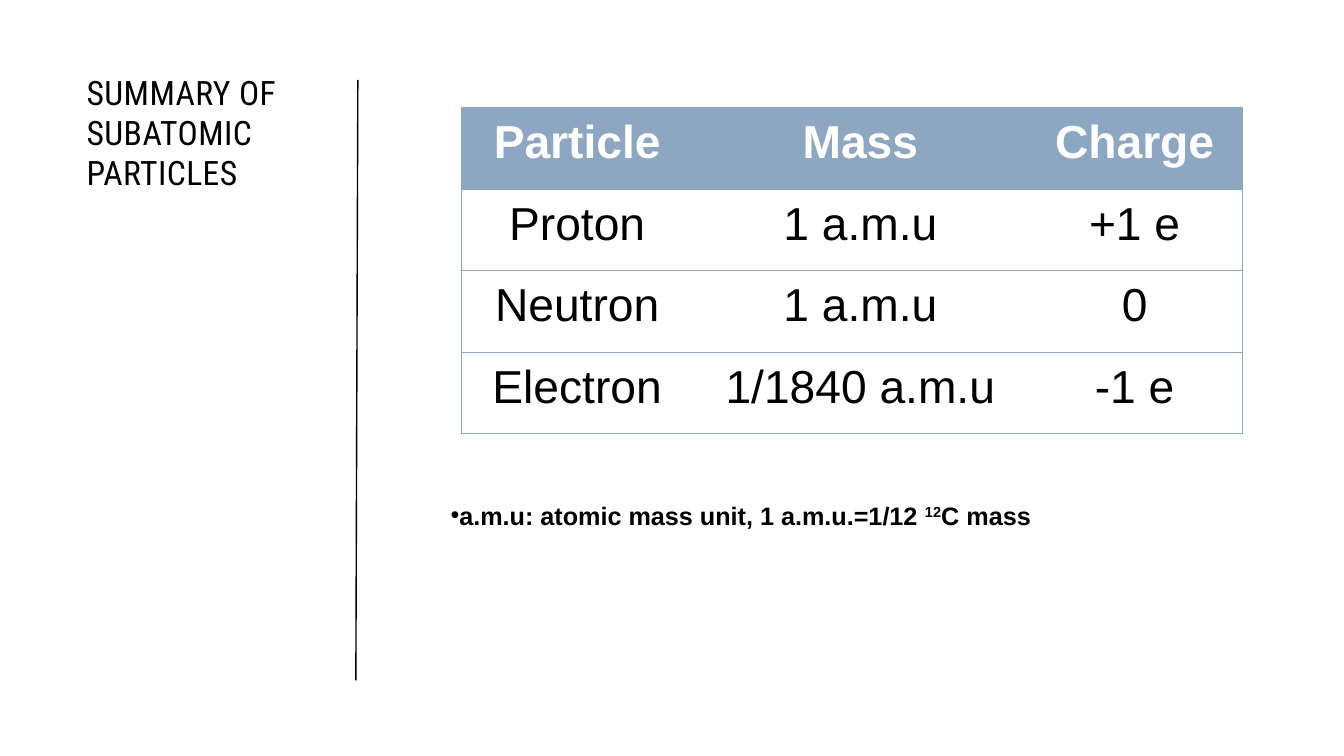
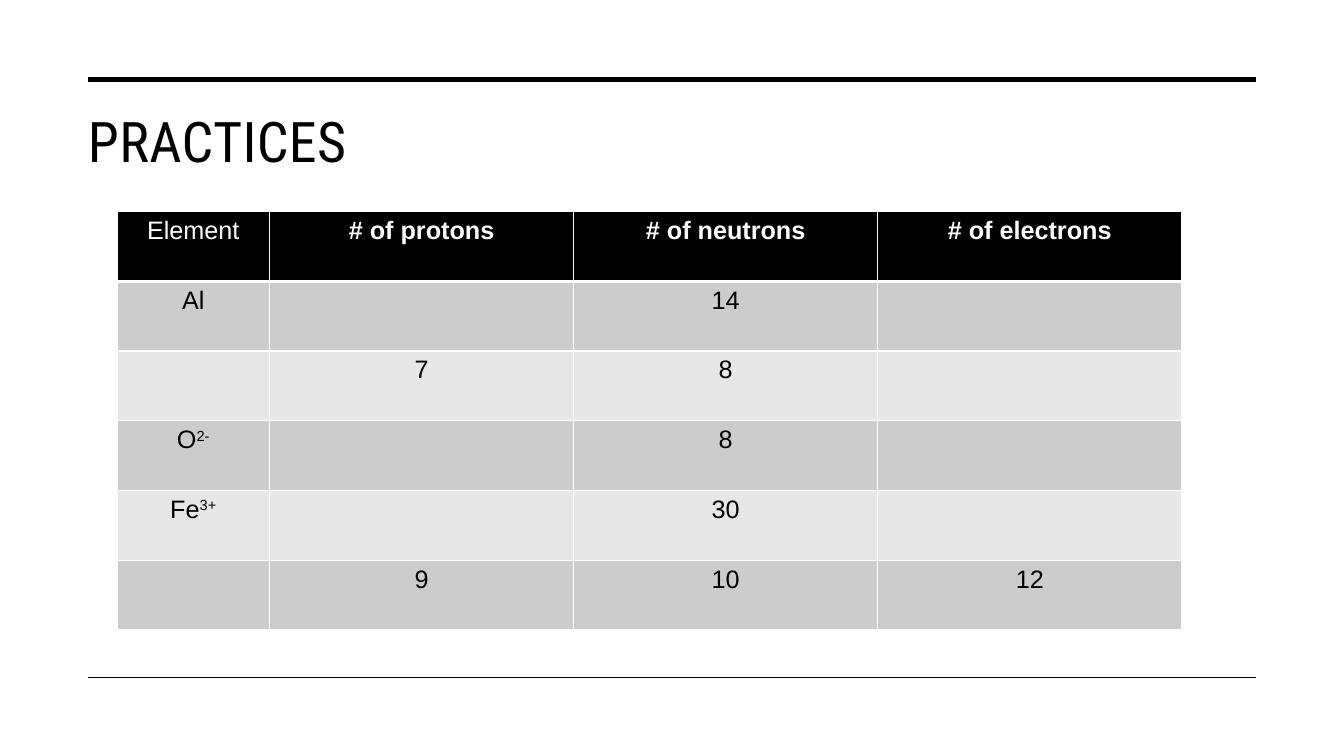
from dataclasses import dataclass

from lxml import etree
from pptx import Presentation
from pptx.dml.color import RGBColor
from pptx.enum.shapes import MSO_CONNECTOR
from pptx.enum.text import MSO_ANCHOR, MSO_AUTO_SIZE, PP_ALIGN
from pptx.oxml.ns import qn
from pptx.util import Pt

STRAIGHT = MSO_CONNECTOR.STRAIGHT
TOP = MSO_ANCHOR.TOP
NO_AUTOFIT = MSO_AUTO_SIZE.NONE
LEFT, CENTER = PP_ALIGN.LEFT, PP_ALIGN.CENTER
TITLE_AND_CONTENT, TITLE_ONLY = 1, 5
PLAIN_TABLE_STYLE = "{2D5ABB26-0587-4C30-8999-92F81FD0307C}"


@dataclass(frozen=True)
class Theme:
    title_font: str = "Roboto Condensed"
    body_font: str = "Arial"
    black: str = "000000"
    white: str = "FFFFFF"
    blue: str = "8DA6C2"
    dark_band: str = "CCCCCC"
    light_band: str = "E7E7E7"
    side_title: int = 24
    wide_title: int = 40
    large_cell: int = 33
    body: int = 18


THEME = Theme()

SUMMARY = {
    "title": "SUMMARY OF SUBATOMIC PARTICLES",
    "note": "a.m.u: atomic mass unit, 1 a.m.u.=1/12 ^12^C mass",
    "rows": [
        ("Particle", "Mass", "Charge"),
        ("Proton", "1 a.m.u", "+1 e"),
        ("Neutron", "1 a.m.u", "0"),
        ("Electron", "1/1840 a.m.u", "-1 e"),
    ],
}
PRACTICES = {
    "title": "PRACTICES",
    "rows": [
        ("Element", "# of protons", "# of neutrons", "# of electrons"),
        ("Al", "", "14", ""),
        ("", "7", "8", ""),
        ("O^2-", "", "8", ""),
        ("Fe^3+", "", "30", ""),
        ("", "9", "10", "12"),
    ],
}


def add_runs(paragraph, text, font_name, size, color, bold=False, spacing=None):
    for index, part in enumerate(text.split("^")):
        run = paragraph.add_run()
        run.text = part
        run.font.name = font_name
        run.font.size = Pt(size)
        run.font.bold = bold
        run.font.color.rgb = RGBColor.from_string(color)
        properties = run._r.get_or_add_rPr()
        if index % 2:
            properties.set("baseline", "30000")
        if spacing:
            properties.set("spc", str(spacing))


def place_text(shape, box):
    shape.left, shape.top, shape.width, shape.height = map(Pt, box)
    frame = shape.text_frame
    frame.word_wrap = True
    frame.auto_size = NO_AUTOFIT
    frame.vertical_anchor = TOP
    return frame.paragraphs[0]


def set_title(slide, text, box, size):
    paragraph = place_text(slide.shapes.title, box)
    paragraph.alignment = LEFT
    add_runs(paragraph, text, THEME.title_font, size, THEME.black, spacing=30)


def set_note(slide, text, box):
    paragraph = place_text(slide.placeholders[1], box)
    properties = paragraph._p.get_or_add_pPr()
    properties.set("marL", "0")
    properties.set("indent", str(-Pt(18)))
    etree.SubElement(properties, qn("a:buChar"), char="•")
    paragraph.line_spacing = 1.2
    paragraph.space_before = Pt(0)
    paragraph.space_after = Pt(6)
    add_runs(paragraph, text, THEME.body_font, THEME.body, THEME.black, bold=True)


def add_line(slide, start, end, width):
    line = slide.shapes.add_connector(STRAIGHT, *map(Pt, start + end))
    line.line.color.rgb = RGBColor.from_string(THEME.black)
    line.line.width = Pt(width)
    etree.SubElement(line._element.spPr, qn("a:effectLst"))


def set_borders(cell, color, widths):
    properties = cell._tc.get_or_add_tcPr()
    for side, width in zip("LRTB", widths):
        border = etree.SubElement(properties, qn(f"a:ln{side}"), w=str(Pt(width)))
        if width:
            fill = etree.SubElement(border, qn("a:solidFill"))
            etree.SubElement(fill, qn("a:srgbClr"), val=color)
        else:
            etree.SubElement(border, qn("a:noFill"))


def add_grid(slide, rows, origin, widths, row_height, size, style):
    frame = slide.shapes.add_table(
        len(rows), len(widths), *map(Pt, origin), Pt(sum(widths)), Pt(row_height * len(rows))
    )
    table = frame.table
    table._tbl.tblPr.find(qn("a:tableStyleId")).text = PLAIN_TABLE_STYLE
    for column, width in zip(table.columns, widths):
        column.width = Pt(width)
    for row_index, texts in enumerate(rows):
        table.rows[row_index].height = Pt(row_height)
        for column_index, text in enumerate(texts):
            cell = table.cell(row_index, column_index)
            look = style(row_index, column_index)
            set_borders(cell, look["border"], look["widths"])
            if look["fill"]:
                cell.fill.solid()
                cell.fill.fore_color.rgb = RGBColor.from_string(look["fill"])
            else:
                cell.fill.background()
            if "margins" in look:
                across, down = map(Pt, look["margins"])
                cell.margin_left = cell.margin_right = across
                cell.margin_top = cell.margin_bottom = down
            cell.vertical_anchor = TOP
            paragraph = cell.text_frame.paragraphs[0]
            paragraph.alignment = CENTER
            if text:
                color = THEME.black if row_index else THEME.white
                add_runs(paragraph, text, THEME.body_font, size, color, look["bold"])


def summary_style(row, column):
    last = len(SUMMARY["rows"][0]) - 1
    return {
        "fill": None if row else THEME.blue,
        "border": THEME.blue,
        "widths": (0.5 * (column == 0), 0.5 * (column == last), 0.5, 0.5),
        "margins": (13, 6.5),
        "bold": row == 0,
    }


def practices_style(row, column):
    band = THEME.dark_band if row % 2 else THEME.light_band
    return {
        "fill": band if row else THEME.black,
        "border": THEME.white,
        "widths": (1, 1, 3 if row == 1 else 1, 1 if row else 3),
        "bold": row == 0 and column > 0,
    }


def build_summary(presentation):
    slide = presentation.slides.add_slide(presentation.slide_layouts[TITLE_AND_CONTENT])
    set_title(slide, SUMMARY["title"], (54.7, 47.5, 186.5, 438.5), THEME.side_title)
    add_line(slide, (254.2, 486), (255.6, 57), 1)
    set_note(slide, SUMMARY["note"], (314.6, 349.2, 588, 140.4))
    add_grid(slide, SUMMARY["rows"], (329.2, 77), (166.2, 238.4, 153.4), 58.2,
             THEME.large_cell, summary_style)


def build_practices(presentation):
    slide = presentation.slides.add_slide(presentation.slide_layouts[TITLE_ONLY])
    for y, width in ((56.9, 3.5), (483.8, 1)):
        add_line(slide, (63.1, y), (897.1, y), width)
    set_title(slide, PRACTICES["title"], (55.6, 72.7, 841.7, 108), THEME.wide_title)
    add_grid(slide, PRACTICES["rows"], (83.5, 151.2), (109.1,) + (217.2,) * 3, 49.8,
             THEME.body, practices_style)


def main():
    presentation = Presentation()
    presentation.slide_width, presentation.slide_height = Pt(960), Pt(540)
    build_summary(presentation)
    build_practices(presentation)
    presentation.save("out.pptx")


if __name__ == "__main__":
    main()
